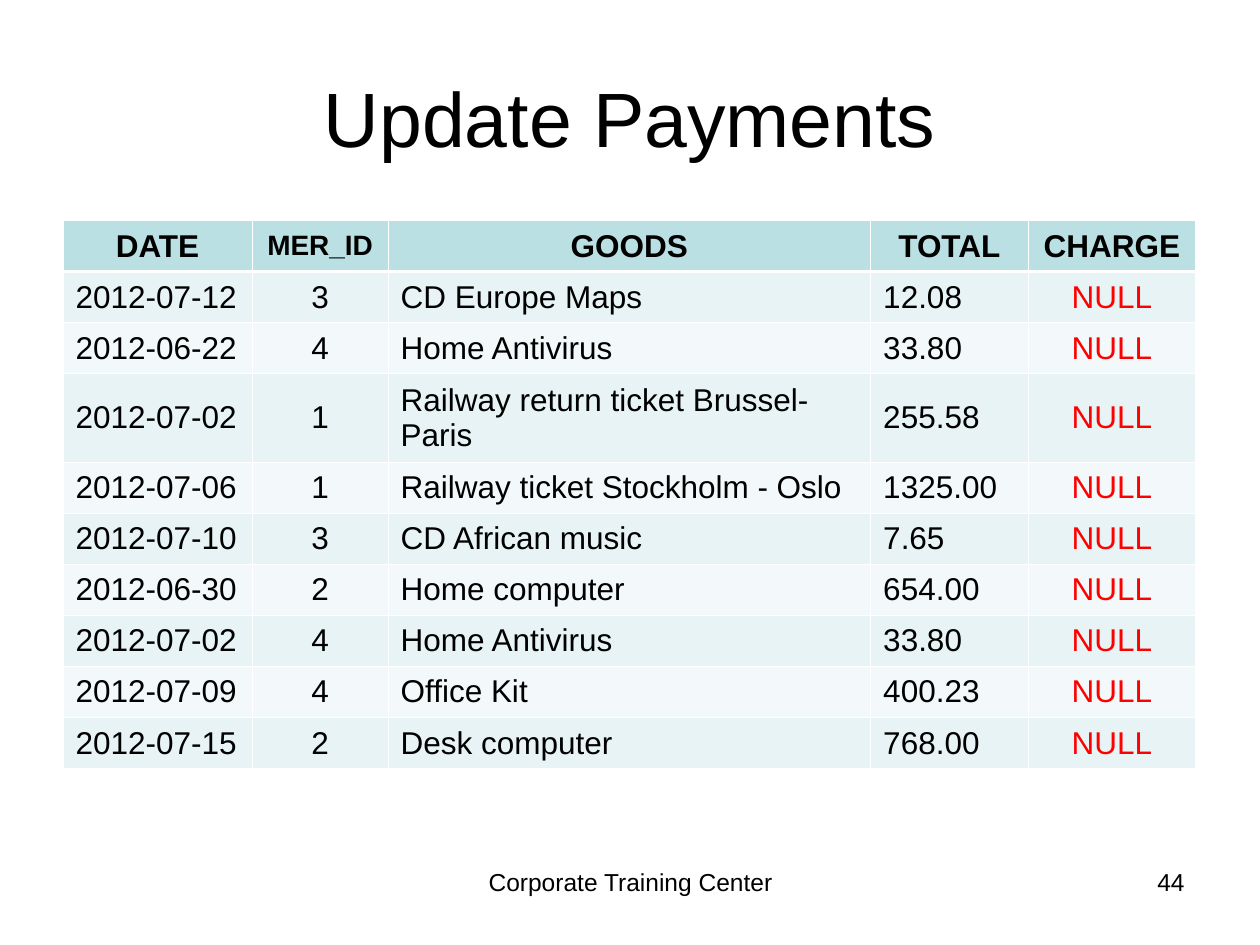
"""Build the "Update Payments" slide with its payments table."""
from lxml import etree
from pptx import Presentation
from pptx.dml.color import RGBColor
from pptx.enum.text import MSO_ANCHOR, PP_ALIGN
from pptx.oxml.ns import qn
from pptx.util import Inches, Pt

LEFT, CENTER, RIGHT = PP_ALIGN.LEFT, PP_ALIGN.CENTER, PP_ALIGN.RIGHT
TOP, MIDDLE = MSO_ANCHOR.TOP, MSO_ANCHOR.MIDDLE

CAPTIONS = [
    ("Update Payments", (0.5, 0.3, 9, 1.25), {"size": 44, "align": CENTER}, MIDDLE),
    ("Corporate Training Center", (3.42, 6.83, 3.17, 0.52), {"size": 14, "align": CENTER}, TOP),
    ("44", (7.17, 6.83, 2.33, 0.52), {"size": 14, "align": RIGHT}, TOP),
]
COLUMNS = [
    ("DATE", 1.5, LEFT, 18),
    ("MER_ID", 1.08, CENTER, 16),
    ("GOODS", 3.83, LEFT, 18),
    ("TOTAL", 1.25, LEFT, 18),
    ("CHARGE", 1.33, CENTER, 18),
]
PAYMENTS = [
    ("2012-07-12", "3", "CD Europe Maps", "12.08", "NULL"),
    ("2012-06-22", "4", "Home Antivirus", "33.80", "NULL"),
    ("2012-07-02", "1", "Railway return ticket Brussel-Paris", "255.58", "NULL"),
    ("2012-07-06", "1", "Railway ticket Stockholm - Oslo", "1325.00", "NULL"),
    ("2012-07-10", "3", "CD African music", "7.65", "NULL"),
    ("2012-06-30", "2", "Home computer", "654.00", "NULL"),
    ("2012-07-02", "4", "Home Antivirus", "33.80", "NULL"),
    ("2012-07-09", "4", "Office Kit", "400.23", "NULL"),
    ("2012-07-15", "2", "Desk computer", "768.00", "NULL"),
]
TABLE_BOX = (0.5, 1.75, 9, 4.35)
WRAPPED_ROW, WRAPPED_HEIGHT = 3, 0.7
HEADER_FILL, BAND_FILLS = "BBE0E3", ("F3F9FA", "E7F3F4")
BLACK, WHITE, RED = "000000", "FFFFFF", "FF0000"
THIN, THICK = 0.45, 1.47


def rgb(value):
    return RGBColor.from_string(value)


def write(frame, text, *, size=18, color=BLACK, bold=False, align=LEFT):
    paragraph = frame.paragraphs[0]
    paragraph.alignment = align
    run = paragraph.add_run()
    run.text = text
    run.font.name = "Arial"
    run.font.size = Pt(size)
    run.font.bold = bold
    run.font.color.rgb = rgb(color)


def add_caption(slide, text, box, style, anchor):
    frame = slide.shapes.add_textbox(*map(Inches, box)).text_frame
    frame.word_wrap = True
    frame.vertical_anchor = anchor
    write(frame, text, **style)


def set_borders(cell, **widths):
    properties = cell._tc.get_or_add_tcPr()
    for side, width in widths.items():
        border = etree.SubElement(properties, qn(f"a:ln{side}"), w=str(Pt(width)))
        fill = etree.SubElement(border, qn("a:solidFill"))
        etree.SubElement(fill, qn("a:srgbClr"), val=WHITE)


def fill_cell(cell, row, text, align, header_size):
    is_header = row == 0
    set_borders(cell, L=THIN, R=THIN, T=THICK if row == 1 else THIN, B=THICK if is_header else THIN)
    cell.fill.solid()
    cell.fill.fore_color.rgb = rgb(HEADER_FILL if is_header else BAND_FILLS[row % 2])
    cell.vertical_anchor = MIDDLE
    if is_header:
        write(cell.text_frame, text, size=header_size, bold=True, align=CENTER)
    else:
        write(cell.text_frame, text, color=RED if text == "NULL" else BLACK, align=align)


def add_payments(slide):
    rows = [[name for name, *_ in COLUMNS], *PAYMENTS]
    table = slide.shapes.add_table(len(rows), len(COLUMNS), *map(Inches, TABLE_BOX)).table
    row_height = (TABLE_BOX[3] - WRAPPED_HEIGHT) / (len(rows) - 1)
    for column, (_, width, _, _) in zip(table.columns, COLUMNS):
        column.width = Inches(width)
    for row, values in enumerate(rows):
        table.rows[row].height = Inches(WRAPPED_HEIGHT if row == WRAPPED_ROW else row_height)
        for column, (text, (_, _, align, header_size)) in enumerate(zip(values, COLUMNS)):
            fill_cell(table.cell(row, column), row, text, align, header_size)


def main():
    deck = Presentation()
    deck.slide_width, deck.slide_height = Inches(10), Inches(7.5)
    slide = deck.slides.add_slide(deck.slide_layouts[6])
    title, *footers = CAPTIONS
    add_caption(slide, *title)
    add_payments(slide)
    for footer in footers:
        add_caption(slide, *footer)
    deck.save("out.pptx")


if __name__ == "__main__":
    main()
